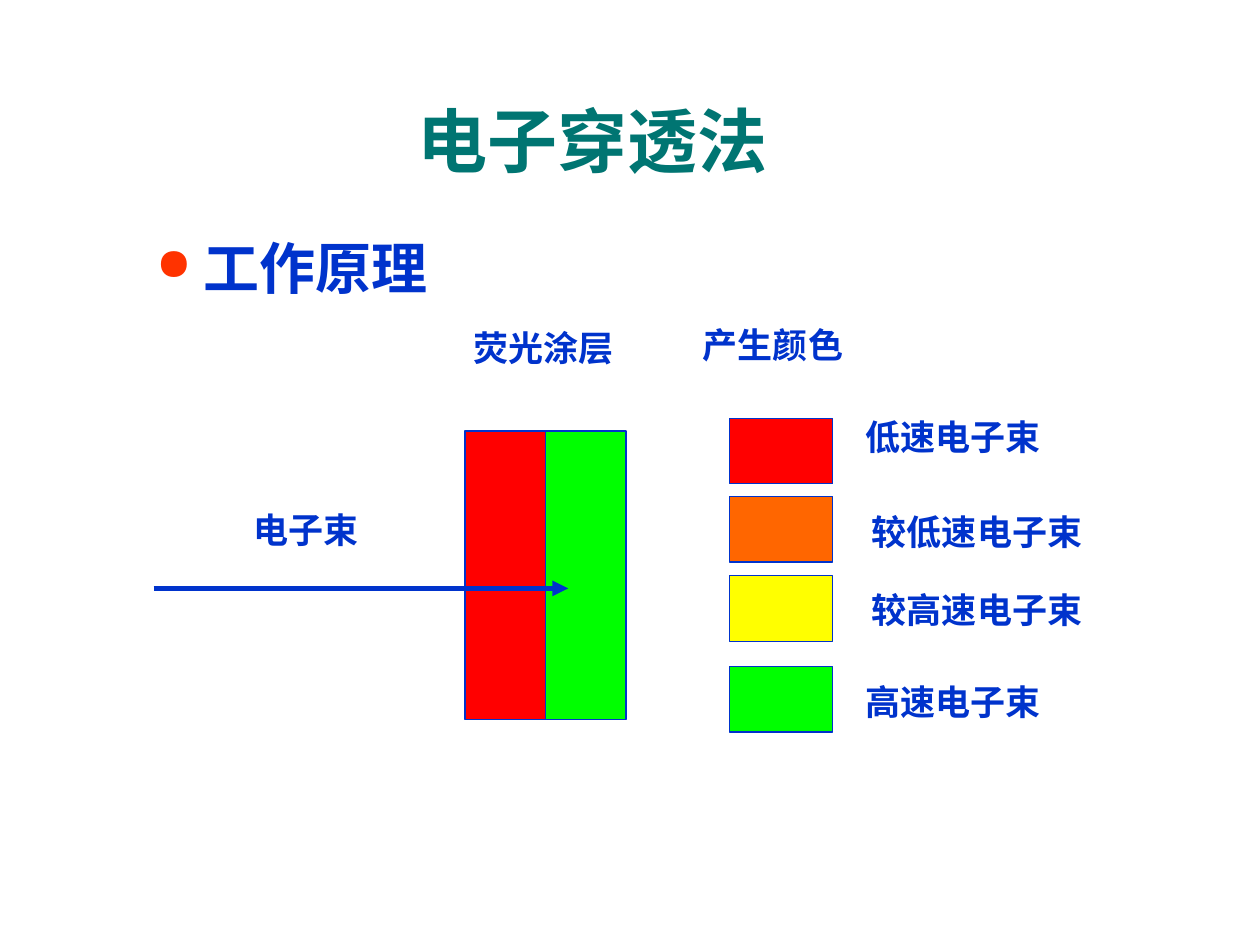
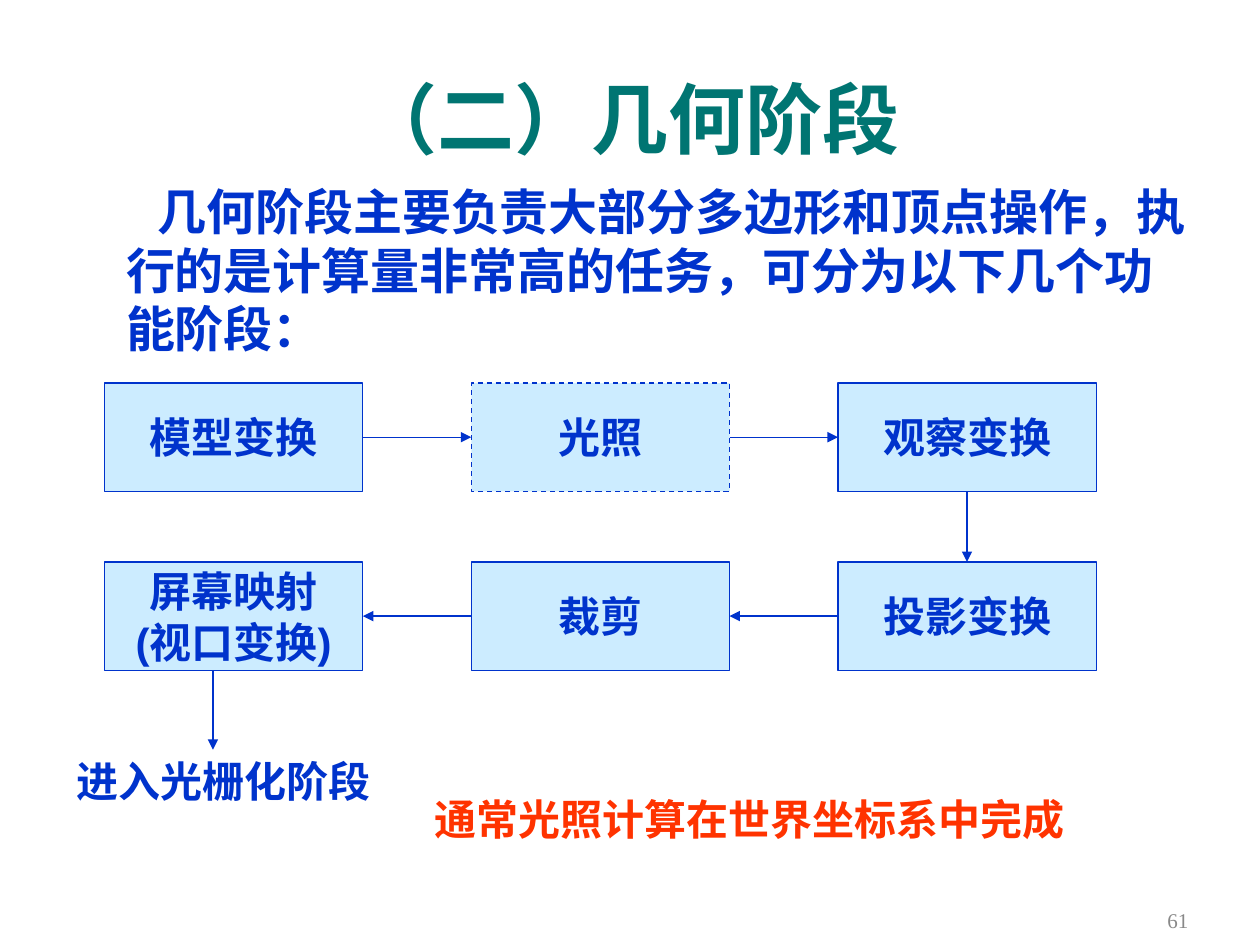
from dataclasses import dataclass
from itertools import pairwise

from lxml.etree import SubElement
from pptx import Presentation
from pptx.dml.color import RGBColor
from pptx.enum.dml import MSO_LINE
from pptx.enum.shapes import MSO_CONNECTOR, MSO_SHAPE
from pptx.enum.text import MSO_ANCHOR, PP_ALIGN
from pptx.oxml.ns import qn
from pptx.util import Inches, Pt


@dataclass(frozen=True)
class Theme:
    title: str = "007572"
    blue: str = "0033CC"
    accent: str = "FF3300"
    pale: str = "CCECFF"
    grey: str = "898989"
    red: str = "FF0000"
    orange: str = "FF6600"
    yellow: str = "FFFF00"
    green: str = "00FF00"
    sans: str = "Arial"
    serif: str = "Times New Roman"
    cjk: str = "Noto Sans CJK SC"
    label_size: int = 20
    step_size: int = 24
    body_size: int = 28
    heading_size: int = 32
    number_size: int = 12
    line_height: float = 1.2
    thin: float = 0.75
    thick: float = 3


theme = Theme()


def add_block(slide, at, text="", size=theme.step_size, font=theme.sans, color=theme.blue,
              fill=None, align=PP_ALIGN.CENTER, anchor=MSO_ANCHOR.TOP, wrap=False, bold=True):
    box = [Inches(length) for length in at]
    if fill:
        block = slide.shapes.add_shape(MSO_SHAPE.RECTANGLE, *box)
        block.shadow.inherit = False
        block.fill.solid()
        block.fill.fore_color.rgb = RGBColor.from_string(fill)
        block.line.color.rgb = RGBColor.from_string(theme.blue)
        block.line.width = Pt(theme.thin)
    else:
        block = slide.shapes.add_textbox(*box)
    if text:
        frame = block.text_frame
        frame.word_wrap = wrap
        frame.vertical_anchor = anchor
        frame.text = text
        for paragraph in frame.paragraphs:
            paragraph.alignment = align
            paragraph.line_spacing = Pt(size * theme.line_height)
            paragraph.font.name = font
            paragraph.font.size = Pt(size)
            paragraph.font.bold = bold
            paragraph.font.color.rgb = RGBColor.from_string(color)
    return block


def add_arrow(slide, start, end, width=theme.thin):
    ends = [Inches(length) for length in (*start, *end)]
    arrow = slide.shapes.add_connector(MSO_CONNECTOR.STRAIGHT, *ends)
    arrow.line.color.rgb = RGBColor.from_string(theme.blue)
    arrow.line.width = Pt(width)
    SubElement(arrow.line._get_or_add_ln(), qn("a:tailEnd"), type="triangle")
    SubElement(arrow._element.spPr, qn("a:effectLst"))
    return arrow


deck = Presentation()
deck.slide_width, deck.slide_height = Inches(10), Inches(7.5)
titles = [
    ("电子穿透法", (1.26, 0.72, 6.88, 0.77), 40),
    ("（二）几何阶段", (0.75, 0.52, 8.5, 0.83), 44),
]
for title, at, size in titles:
    slide = deck.slides.add_slide(deck.slide_layouts[6])
    add_block(slide, at, title, size, color=theme.title, anchor=MSO_ANCHOR.MIDDLE, wrap=True)
penetration, geometry = deck.slides

heading = add_block(penetration, (1.14, 1.8, 8.12, 0.59), size=theme.heading_size)
heading.text_frame.word_wrap = True
principle = heading.text_frame.paragraphs[0]
principle.text = "工作原理"
bullet = principle._p.get_or_add_pPr()
bullet.set("marL", str(Inches(0.38)))
bullet.set("indent", str(-Inches(0.38)))
SubElement(SubElement(bullet, qn("a:buClr")), qn("a:srgbClr"), val=theme.accent)
SubElement(bullet, qn("a:buSzPct"), val="80000")
SubElement(bullet, qn("a:buChar"), char="●")
principle.line_spacing = Pt(theme.heading_size * theme.line_height)
principle.font.name = theme.sans
principle.font.size = Pt(theme.heading_size)
principle.font.bold = True
principle.font.color.rgb = RGBColor.from_string(theme.blue)

for layer, fill in enumerate((theme.red, theme.green)):
    add_block(penetration, (3.69 + 0.64 * layer, 3.42, 0.64, 2.29), fill=fill)
add_arrow(penetration, (1.22, 4.67), (4.51, 4.67), theme.thick)

for top, fill in [(3.32, theme.red), (3.94, theme.orange), (4.57, theme.yellow), (5.29, theme.green)]:
    add_block(penetration, (5.79, top, 0.82, 0.52), fill=fill)

labels = [
    ("电子束", 1.86, 3.99, 1.14),
    ("荧光涂层", 3.66, 2.54, 1.31),
    ("产生颜色", 5.48, 2.52, 1.31),
    ("低速电子束", 6.77, 3.25, 1.59),
    ("较低速电子束", 6.82, 4, 1.87),
    ("较高速电子束", 6.82, 4.62, 1.87),
    ("高速电子束", 6.77, 5.35, 1.59),
]
for label, left, top, width in labels:
    add_block(penetration, (left, top, width, 0.44), label, theme.label_size, theme.serif)

add_block(geometry, (7.2, 7.1, 2.33, 0.4), "61", theme.number_size, theme.serif, theme.grey,
          align=PP_ALIGN.RIGHT, anchor=MSO_ANCHOR.MIDDLE, wrap=True, bold=False)

pipeline = [
    ("模型变换", 0, 0),
    ("光照", 1, 0),
    ("观察变换", 2, 0),
    ("投影变换", 2, 1),
    ("裁剪", 1, 1),
    ("屏幕映射\n(视口变换)", 0, 1),
]
steps = []
for name, column, row in pipeline:
    at = (0.83 + 2.91 * column, 3.04 + 1.42 * row, 2.05, 0.86)
    steps.append(add_block(geometry, at, name, fill=theme.pale, anchor=MSO_ANCHOR.MIDDLE))
steps[1].line.dash_style = MSO_LINE.DASH

sides = [(3, 1), (3, 1), (2, 0), (1, 3), (1, 3)]
for (source, target), (leave, enter) in zip(pairwise(steps), sides):
    flow = add_arrow(geometry, (0, 0), (0, 0))
    flow.begin_connect(source, leave)
    flow.end_connect(target, enter)
add_arrow(geometry, (1.69, 5.32), (1.69, 5.95))
add_block(geometry, (0.51, 5.95, 2.53, 0.5), "进入光栅化阶段", align=PP_ALIGN.LEFT)

summary = add_block(
    geometry, (0.63, 1.44, 8.82, 1.4),
    "几何阶段主要负责大部分多边形和顶点操作，执行的是计算量非常高的任务，可分为以下几个功能阶段：",
    theme.body_size, theme.cjk, align=PP_ALIGN.LEFT, wrap=True)
indent = summary.text_frame.paragraphs[0]._p.get_or_add_pPr()
indent.set("marL", str(Inches(0.37)))
indent.set("indent", str(Inches(0.25)))
remark = add_block(geometry, (3.45, 6.3, 6.27, 0.4), "通常光照计算在世界坐标系中完成",
                   font=theme.cjk, color=theme.accent, align=PP_ALIGN.LEFT, wrap=True)
for passage in (summary, remark):
    frame = passage.text_frame
    frame.margin_left = frame.margin_right = frame.margin_top = frame.margin_bottom = 0

deck.save("out.pptx")
